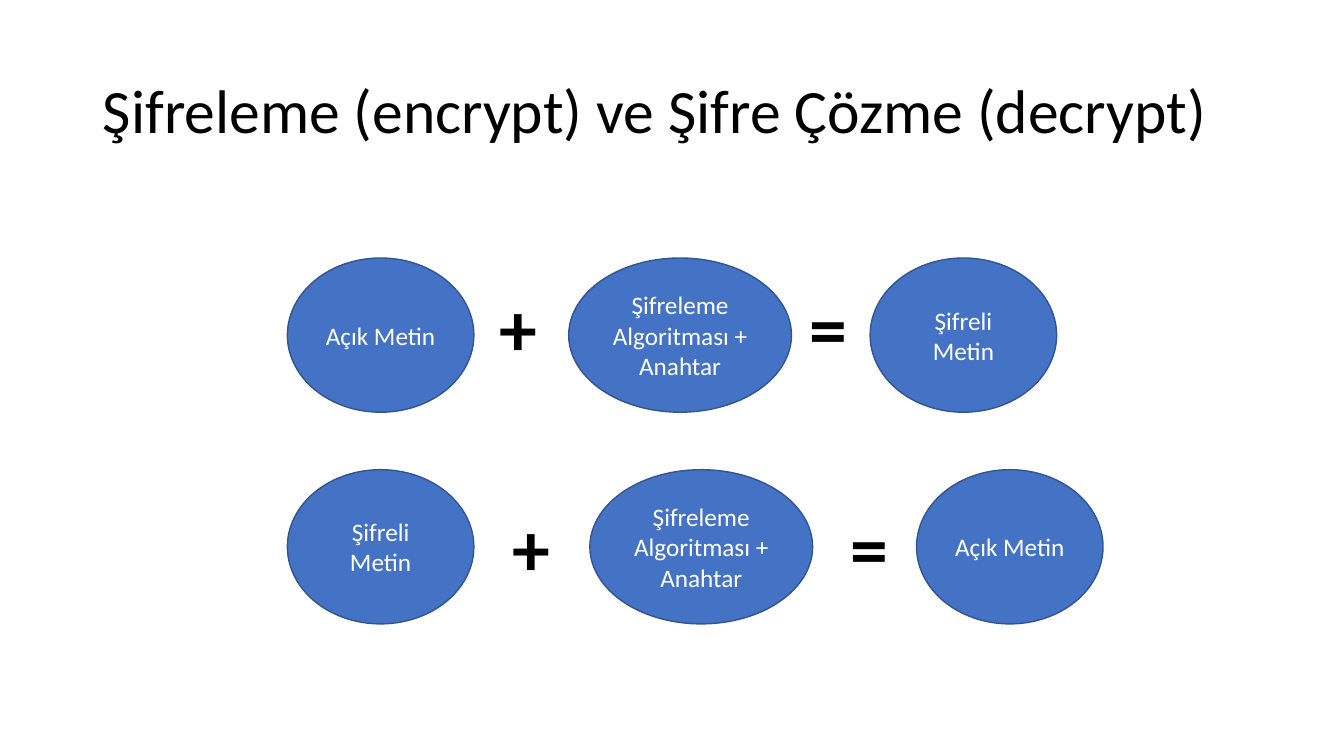
from dataclasses import dataclass

from pptx import Presentation
from pptx.dml.color import RGBColor as Color
from pptx.enum.shapes import MSO_SHAPE as Preset
from pptx.enum.text import MSO_ANCHOR as Anchor, MSO_AUTO_SIZE as AutoSize, PP_ALIGN as Align
from pptx.shapes.base import BaseShape
from pptx.slide import Slide
from pptx.util import Inches, Pt


@dataclass(frozen=True)
class Theme:
    """Colours, font and type sizes of the slide."""
    font: str = "Calibri"
    ink: str = "000000"
    paper: str = "FFFFFF"
    fill: str = "4472C4"
    outline: str = "325491"
    title_size: int = 44
    label_size: int = 18
    operator_size: int = 54


@dataclass(frozen=True)
class Term:
    """One oval of an equation."""
    text: str
    left: float
    width: float


@dataclass(frozen=True)
class Equation:
    """A row of ovals with the operators between them."""
    top: float
    operator_top: float
    terms: tuple[Term, ...]
    operators: tuple[tuple[str, float], ...]


THEME = Theme()
TITLE = "Şifreleme (encrypt) ve Şifre Çözme (decrypt)"
PLAIN, CIPHER = "Açık Metin", "Şifreli Metin"
METHOD = "Şifreleme Algoritması + Anahtar"
TERM_WIDTH, METHOD_WIDTH, TERM_HEIGHT = 1.85, 2.21, 1.53
OPERATOR_WIDTH, OPERATOR_HEIGHT = 0.59, 1.01
FIRST_LEFT = 2.85

EQUATIONS = (
    Equation(2.56, 2.74,
             (Term(PLAIN, FIRST_LEFT, TERM_WIDTH),
              Term(METHOD, 5.64, METHOD_WIDTH),
              Term(CIPHER, 8.63, TERM_WIDTH)),
             (("+", 4.86), ("=", 7.93))),
    Equation(4.66, 4.92,
             (Term(CIPHER, FIRST_LEFT, TERM_WIDTH),
              Term(METHOD, 5.85, METHOD_WIDTH),
              Term(PLAIN, 9.09, TERM_WIDTH)),
             (("+", 4.98), ("=", 8.34))),
)


def write(shape: BaseShape, text: str, size: int, color: str, align: Align,
          anchor: Anchor, bold: bool = False, spacing: float = 1.0) -> None:
    """Put one formatted paragraph into a shape."""
    frame = shape.text_frame
    frame_format = {"word_wrap": True, "auto_size": AutoSize.NONE, "vertical_anchor": anchor}
    for name, value in frame_format.items():
        setattr(frame, name, value)
    para = frame.paragraphs[0]
    para.alignment, para.line_spacing = align, spacing
    span = para.add_run()
    span.text = text
    for name, value in {"name": THEME.font, "size": Pt(size), "bold": bold}.items():
        setattr(span.font, name, value)
    span.font.color.rgb = Color.from_string(color)


def add_title(slide: Slide) -> None:
    """Place and format the title placeholder."""
    title = slide.shapes.title
    place = {"left": 0.92, "top": 0.4, "width": 11.5, "height": 1.45}
    for name, value in place.items():
        setattr(title, name, Inches(value))
    write(title, TITLE, THEME.title_size, THEME.ink, Align.LEFT, Anchor.MIDDLE, spacing=0.9)


def add_term(slide: Slide, term: Term, top: float) -> None:
    """Draw one labelled oval."""
    place = map(Inches, (term.left, top, term.width, TERM_HEIGHT))
    oval = slide.shapes.add_shape(Preset.OVAL, *place)
    oval.shadow.inherit = False
    oval.fill.solid()
    oval.fill.fore_color.rgb = Color.from_string(THEME.fill)
    oval.line.color.rgb = Color.from_string(THEME.outline)
    oval.line.width = Pt(1)
    write(oval, term.text, THEME.label_size, THEME.paper, Align.CENTER, Anchor.MIDDLE)


def add_operator(slide: Slide, sign: str, left: float, top: float) -> None:
    """Write one large operator sign."""
    box = slide.shapes.add_textbox(*map(Inches, (left, top, OPERATOR_WIDTH, OPERATOR_HEIGHT)))
    write(box, sign, THEME.operator_size, THEME.ink, Align.LEFT, Anchor.TOP, bold=True)
    box.text_frame.auto_size = AutoSize.SHAPE_TO_FIT_TEXT


def add_equation(slide: Slide, equation: Equation) -> None:
    """Draw the ovals and operators of one row."""
    for term in equation.terms:
        add_term(slide, term, equation.top)
    for sign, left in equation.operators:
        add_operator(slide, sign, left, equation.operator_top)


def main() -> None:
    """Build and save the deck."""
    deck = Presentation()
    deck.slide_width, deck.slide_height = Inches(13.33), Inches(7.5)
    page = deck.slides.add_slide(deck.slide_layouts.get_by_name("Title Only"))
    add_title(page)
    for equation in EQUATIONS:
        add_equation(page, equation)
    deck.save("out.pptx")


main()
